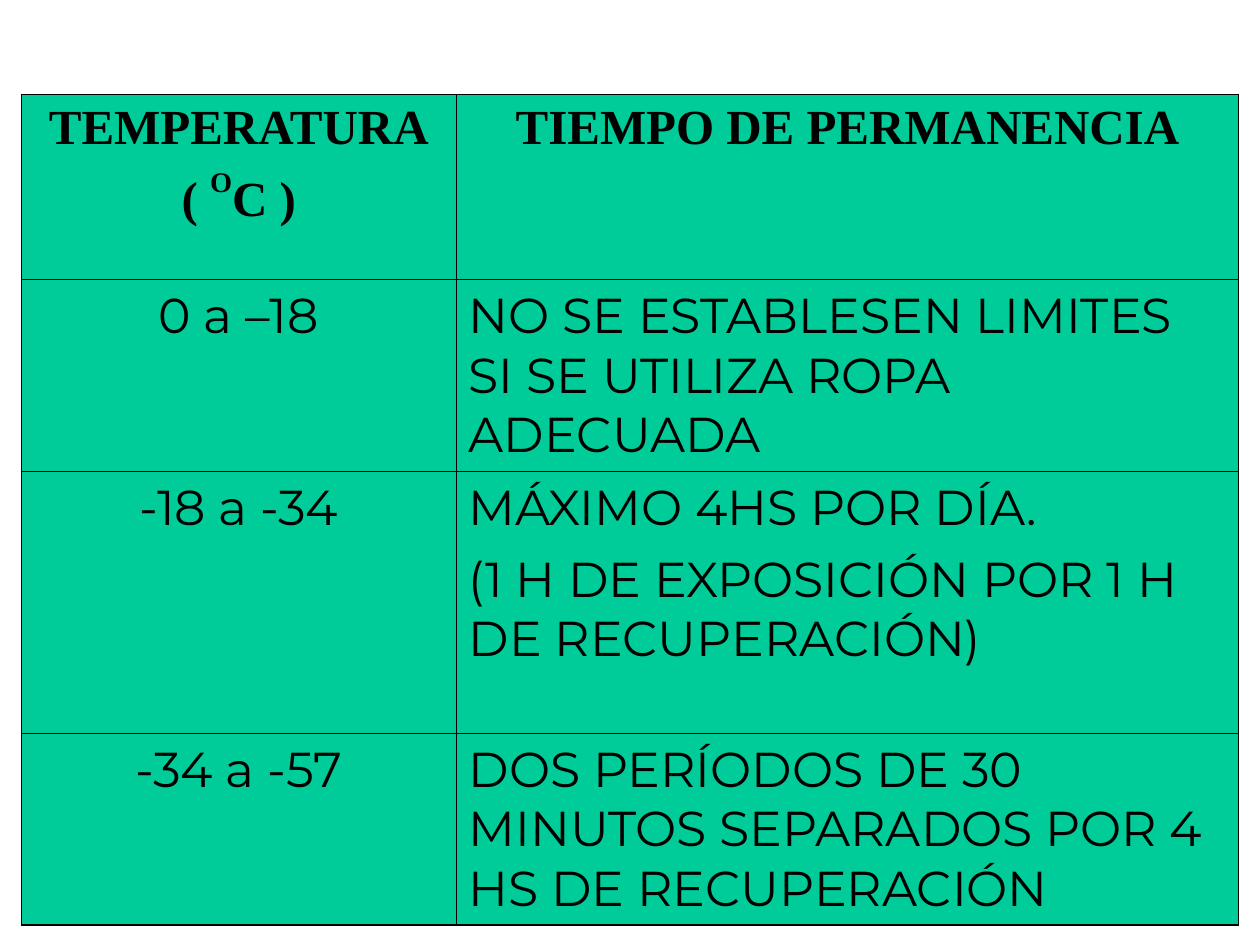
from lxml.etree import SubElement
from pptx import Presentation
from pptx.dml.color import RGBColor
from pptx.enum.text import PP_ALIGN
from pptx.oxml.ns import qn
from pptx.util import Inches, Pt

GREEN = RGBColor(0x00, 0xCC, 0x99)
BLACK = RGBColor(0x00, 0x00, 0x00)
THIN, THICK = Pt(0.45), Pt(1.08)

# Each cell is a list of paragraphs, each paragraph a list of runs
ROWS = [
    ([["TEMPERATURA"], ["( ", "O", "C )"]], [["TIEMPO DE PERMANENCIA"]]),
    ([["0 a –18"]], [["NO SE ESTABLESEN LIMITES SI SE UTILIZA ROPA ADECUADA"]]),
    ([["-18 a -34"]],
     [["MÁXIMO 4HS POR DÍA."], ["(1 H DE EXPOSICIÓN POR 1 H DE RECUPERACIÓN)"]]),
    ([["-34 a -57"]],
     [["DOS PERÍODOS DE 30 MINUTOS SEPARADOS POR 4 HS DE RECUPERACIÓN"]]),
]
COLUMN_WIDTHS = [3.45, 6.21]
ROW_HEIGHTS = [1.47, 1.5, 2.08, 1.5]
HEADER_FONT = {"name": "Times New Roman", "size": Pt(28), "bold": True}
BODY_FONT = {"name": "Montserrat", "size": Pt(28), "bold": False}


def add_border(cell, side, width):
    line = SubElement(cell._tc.get_or_add_tcPr(), qn(f"a:ln{side}"), w=str(width))
    fill = SubElement(line, qn("a:solidFill"))
    SubElement(fill, qn("a:srgbClr"), val=str(BLACK))


deck = Presentation()
deck.slide_width, deck.slide_height = Inches(10), Inches(7.5)
page = deck.slides.add_slide(deck.slide_layouts[6])

# Table grid
table = page.shapes.add_table(
    len(ROWS), len(COLUMN_WIDTHS), Inches(0.17), Inches(0.75),
    Inches(sum(COLUMN_WIDTHS)), Inches(sum(ROW_HEIGHTS))).table
table.horz_banding = False
for column, width in zip(table.columns, COLUMN_WIDTHS):
    column.width = Inches(width)
for row, height in zip(table.rows, ROW_HEIGHTS):
    row.height = Inches(height)

for row_index, row_texts in enumerate(ROWS):
    header = row_index == 0
    last_row = row_index == len(ROWS) - 1
    for column_index, paragraphs in enumerate(row_texts):
        cell = table.cell(row_index, column_index)
        first_column = column_index == 0

        # Thick outer frame, thin inner lines; the header's left edge is thin
        add_border(cell, "L", THICK if first_column and not header else THIN)
        add_border(cell, "R", THIN if first_column else THICK)
        add_border(cell, "T", THICK if header else THIN)
        add_border(cell, "B", THICK if last_row else THIN)
        cell.fill.solid()
        cell.fill.fore_color.rgb = GREEN

        # Cell text
        for index, runs in enumerate(paragraphs):
            frame = cell.text_frame
            para = frame.add_paragraph() if index else frame.paragraphs[0]
            para.alignment = PP_ALIGN.CENTER if header or first_column else PP_ALIGN.LEFT
            para.space_before = Pt(7 if index else 0)
            for text in runs:
                span = para.add_run()
                span.text = text
                for key, value in (HEADER_FONT if header else BODY_FONT).items():
                    setattr(span.font, key, value)
                span.font.color.rgb = BLACK
                if text == "O":  # raised degree sign
                    span.font._element.set("baseline", "48000")

deck.save("out.pptx")
